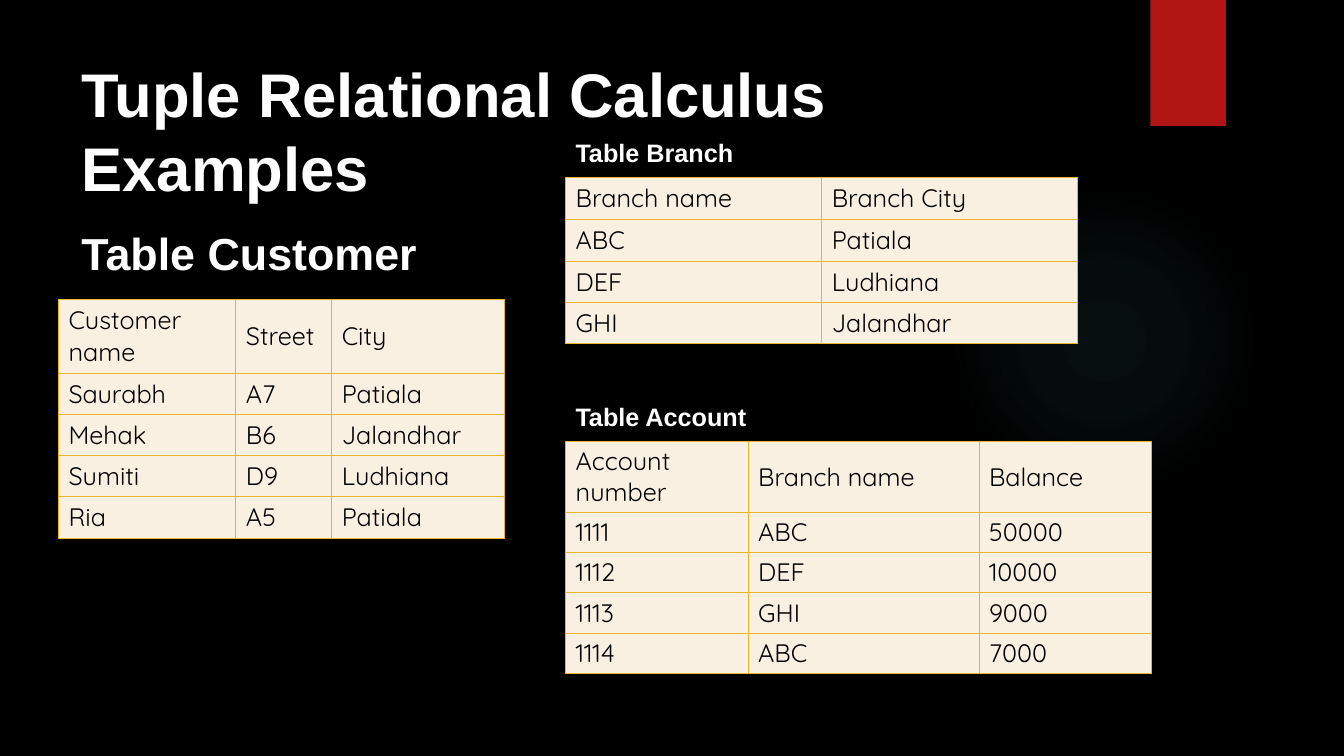
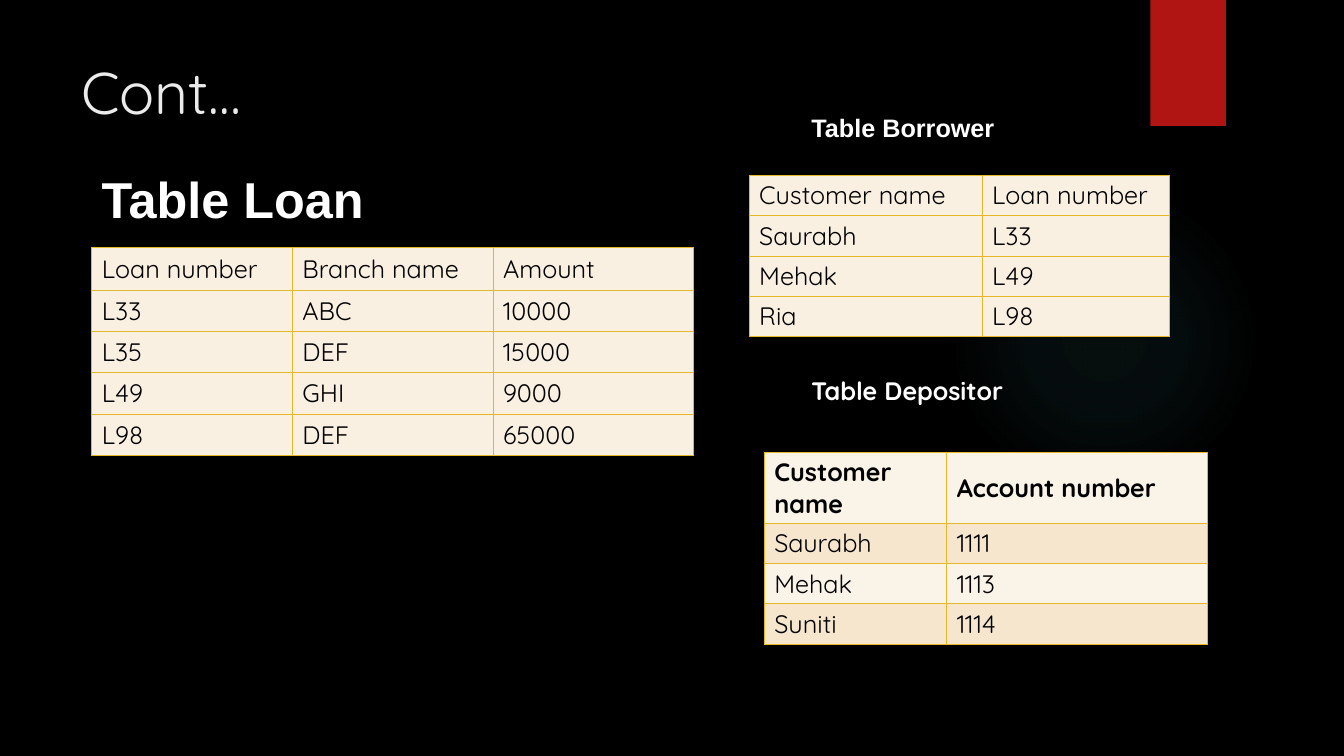
from lxml import etree
from pptx import Presentation
from pptx import util as u
from pptx.dml.color import RGBColor
from pptx.enum import shapes, text
from pptx.oxml import parse_xml
from pptx.oxml.ns import nsdecls, qn

BLACK, WHITE, TITLE = "000000", "FFFFFF", "EBEBEB"
RED, GOLD, GLOW = "B01513", "E6B729", "50B9C1"
CREAM, LIGHT, DARK = "FAF0E2", "FAF3E8", "F5E6CD"
TOP, MIDDLE = text.MSO_ANCHOR.TOP, text.MSO_ANCHOR.MIDDLE


def rgb(code):
    return RGBColor.from_string(code)


def write(tf, content, size=18, font="Quicksand", color=BLACK, bold=False,
          anchor=MIDDLE, line=None, before=0, new=False):
    tf.word_wrap = True
    tf.vertical_anchor = anchor
    p = tf.add_paragraph() if new else tf.paragraphs[0]
    if line:
        p.line_spacing = u.Pt(line)
    if before:
        p.space_before = u.Pt(before)
    r = p.add_run()
    r.text = content
    r.font.size = u.Pt(size)
    r.font.name = font
    r.font.bold = bold
    r.font.color.rgb = rgb(color)


heading = dict(font="Arial", color=WHITE, bold=True)
main_title = dict(heading, anchor=TOP, line=53)

slides = [
    dict(
        title=[
            ("Tuple Relational Calculus Examples", dict(main_title, size=44)),
            ("Table Customer", dict(main_title, size=32, before=1, new=True)),
        ],
        headings=[
            ("Table Branch", (5.61, 1.26, 3, 0.5), heading),
            ("Table Account", (5.61, 3.88, 3, 0.5), heading),
        ],
        tables=[
            dict(at=(0.58, 2.97), cols=[1.76, 0.95, 1.71], head=0.73, row=0.41, rows=[
                ["Customer name", "Street", "City"],
                ["Saurabh", "A7", "Patiala"],
                ["Mehak", "B6", "Jalandhar"],
                ["Sumiti", "D9", "Ludhiana"],
                ["Ria", "A5", "Patiala"],
            ]),
            dict(at=(5.61, 1.76), cols=[2.54, 2.54], head=0.42, row=0.41, rows=[
                ["Branch name", "Branch City"],
                ["ABC", "Patiala"],
                ["DEF", "Ludhiana"],
                ["GHI", "Jalandhar"],
            ]),
            dict(at=(5.61, 4.38), cols=[1.81, 2.29, 1.71], head=0.7, row=0.4, rows=[
                ["Account number", "Branch name", "Balance"],
                ["1111", "ABC", "50000"],
                ["1112", "DEF", "10000"],
                ["1113", "GHI", "9000"],
                ["1114", "ABC", "7000"],
            ]),
        ],
    ),
    dict(
        title=[("Cont…", dict(size=42, color=TITLE, anchor=TOP))],
        headings=[
            ("Table Loan", (0.91, 1.62, 4, 0.71), dict(heading, size=36, anchor=TOP)),
            ("Table Borrower", (7.95, 1.01, 3, 0.5), heading),
            ("Table Depositor", (7.95, 3.67, 3, 0.4),
             dict(heading, font="Quicksand", anchor=TOP)),
        ],
        tables=[
            dict(at=(0.91, 2.46), cols=[1.99] * 3, head=0.42, row=0.41, rows=[
                ["Loan number", "Branch name", "Amount"],
                ["L33", "ABC", "10000"],
                ["L35", "DEF", "15000"],
                ["L49", "GHI", "9000"],
                ["L98", "DEF", "65000"],
            ]),
            dict(at=(7.43, 1.74), cols=[2.31, 1.86], head=0.4, row=0.4, rows=[
                ["Customer name", "Loan number"],
                ["Saurabh", "L33"],
                ["Mehak", "L49"],
                ["Ria", "L98"],
            ]),
            dict(at=(7.58, 4.49), cols=[1.81, 2.59], head=0.7, row=0.4, rows=[
                ["Customer name", "Account number"],
                ["Saurabh", "1111"],
                ["Mehak", "1113"],
                ["Suniti", "1114"],
            ], fills=(LIGHT, DARK), bold=True, border=1),
        ],
    ),
]

stops = "".join(
    f'<a:gs pos="{pos}000"><a:srgbClr val="{GLOW}"><a:alpha val="{alpha}000"/></a:srgbClr></a:gs>'
    for pos, alpha in [(0, 7), (36, 6), (69, 0), (100, 0)]
)
glow_fill = (
    f'<a:gradFill {nsdecls("a")}><a:gsLst>{stops}</a:gsLst><a:path path="circle">'
    '<a:fillToRect l="50000" t="50000" r="50000" b="50000"/></a:path></a:gradFill>'
)

prs = Presentation()
prs.slide_width, prs.slide_height = u.Inches(13.33), u.Inches(7.5)

for page in slides:
    s = prs.slides.add_slide(prs.slide_layouts[6])
    s.background.fill.solid()
    s.background.fill.fore_color.rgb = rgb(BLACK)

    for kind, box in [(shapes.MSO_SHAPE.OVAL, (9.41, 1.83, 3.08, 3.08)),
                      (shapes.MSO_SHAPE.RECTANGLE, (11.41, 0, 0.75, 1.25))]:
        sp = s.shapes.add_shape(kind, *map(u.Inches, box))
        sp.shadow.inherit = False
        sp.line.fill.background()
        if kind == shapes.MSO_SHAPE.OVAL:
            sp.fill.background()
            no_fill = sp.element.spPr.find(qn("a:noFill"))
            sp.element.spPr.replace(no_fill, parse_xml(glow_fill))
        else:
            sp.fill.solid()
            sp.fill.fore_color.rgb = rgb(RED)

    tf = s.shapes.add_textbox(*map(u.Inches, (0.71, 0.5, 10.29, 1.53))).text_frame
    for content, fmt in page["title"]:
        write(tf, content, **fmt)

    for content, box, fmt in page["headings"]:
        write(s.shapes.add_textbox(*map(u.Inches, box)).text_frame, content, **fmt)

    for t in page["tables"]:
        rows, cols = t["rows"], t["cols"]
        heights = [t["head"]] + [t["row"]] * (len(rows) - 1)
        size = (sum(cols), sum(heights))
        tbl = s.shapes.add_table(len(rows), len(cols), *map(u.Inches, t["at"] + size)).table
        tbl.first_row = tbl.horz_banding = False
        for col, width in zip(tbl.columns, cols):
            col.width = u.Inches(width)
        fills = t.get("fills", (CREAM, CREAM))
        for i, row in enumerate(rows):
            tbl.rows[i].height = u.Inches(heights[i])
            for j, content in enumerate(row):
                cell = tbl.cell(i, j)
                cell.margin_top = cell.margin_bottom = u.Inches(0.03)
                cell.vertical_anchor = MIDDLE
                write(cell.text_frame, content, bold=i == 0 and t.get("bold", False))
                tc_pr = cell._tc.get_or_add_tcPr()
                for side in ("lnL", "lnR", "lnT", "lnB"):
                    ln = etree.SubElement(tc_pr, qn(f"a:{side}"), w=str(u.Pt(t.get("border", 0.75))))
                    solid = etree.SubElement(ln, qn("a:solidFill"))
                    etree.SubElement(solid, qn("a:srgbClr"), val=GOLD)
                cell.fill.solid()
                cell.fill.fore_color.rgb = rgb(fills[i % 2])

prs.save("out.pptx")
